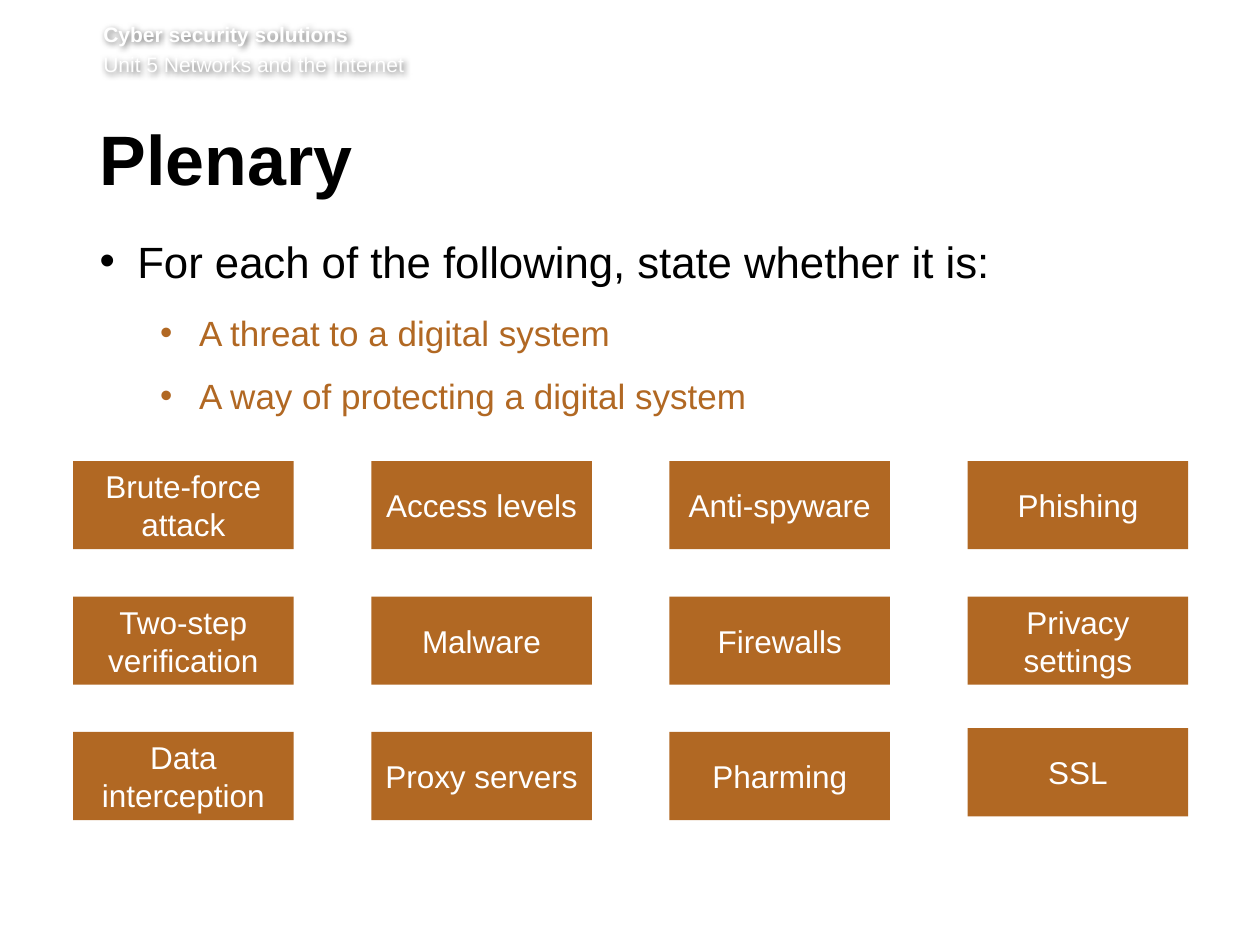
from lxml.etree import SubElement
from pptx import Presentation
from pptx.dml.color import RGBColor
from pptx.enum.shapes import MSO_SHAPE
from pptx.enum.text import MSO_ANCHOR, PP_ALIGN
from pptx.oxml import parse_xml
from pptx.oxml.ns import nsdecls, qn
from pptx.util import Inches, Pt

WHITE = RGBColor(0xFF, 0xFF, 0xFF)
BLACK = RGBColor(0x00, 0x00, 0x00)
BROWN = RGBColor(0xB1, 0x68, 0x23)

prs = Presentation()
prs.slide_width, prs.slide_height = Inches(10), Inches(7.5)
slide = prs.slides.add_slide(prs.slide_layouts[5])


def write(paragraph, text, size, color, bold=False, align=PP_ALIGN.LEFT,
          before=0, after=0, line=None, level=0, indent=None):
    """Fill a paragraph; indent is (left margin, hanging) in inches and adds a bullet."""
    paragraph.text = text
    paragraph.level = level
    paragraph.alignment = align
    paragraph.space_before, paragraph.space_after = Pt(before), Pt(after)
    if line:
        paragraph.line_spacing = Pt(line)
    if indent:
        props = paragraph._p.get_or_add_pPr()
        props.set("marL", str(Inches(indent[0])))
        props.set("indent", str(-Inches(indent[1])))
        SubElement(props, qn("a:buFont")).set("typeface", "Arial")
        SubElement(props, qn("a:buChar")).set("char", "•")
    font = paragraph.runs[0].font
    font.name, font.size, font.bold = "Arial", Pt(size), bold
    font.color.rgb = color


def set_frame(frame, left, top, right, bottom, anchor=MSO_ANCHOR.TOP):
    frame.word_wrap = True
    frame.vertical_anchor = anchor
    frame.margin_left, frame.margin_top = Inches(left), Inches(top)
    frame.margin_right, frame.margin_bottom = Inches(right), Inches(bottom)


# Running header: white text with a soft shadow
header = slide.shapes.add_textbox(Inches(0.82), Inches(0.17), Inches(8.82), Inches(0.49))
set_frame(header.text_frame, 0, 0, 0, 0.05)
write(header.text_frame.paragraphs[0], "Cyber security solutions", 12, WHITE, bold=True)
write(header.text_frame.add_paragraph(), "Unit 5 Networks and the Internet", 12, WHITE,
      before=2.9)
header._element.spPr.append(parse_xml(
    f'<a:effectLst {nsdecls("a")}>'
    '<a:outerShdw blurRad="50800" dist="12700" dir="2700000" algn="tl" rotWithShape="0">'
    '<a:srgbClr val="000000"><a:alpha val="60000"/></a:srgbClr>'
    '</a:outerShdw></a:effectLst>'))

# Title
title = slide.shapes.title
title.left, title.top = Inches(0.79), Inches(0.99)
title.width, title.height = Inches(8.55), Inches(0.73)
set_frame(title.text_frame, 0, 0.05, 0.1, 0.05)
write(title.text_frame.paragraphs[0], "Plenary", 40, BLACK, bold=True, after=15, line=39)

# Question and its two answers
question = slide.shapes.add_textbox(Inches(0.79), Inches(1.86), Inches(8.53), Inches(3.78))
set_frame(question.text_frame, 0, 0, 0.1, 0.05)
write(question.text_frame.paragraphs[0], "For each of the following, state whether it is:",
      25, BLACK, after=14, indent=(0.3, 0.3))
for answer in ("A threat to a digital system", "A way of protecting a digital system"):
    write(question.text_frame.add_paragraph(), answer, 20, BROWN, after=12,
          level=1, indent=(0.79, 0.31))

# Grid of terms to classify
TERMS = (
    ("Brute-force attack", "Access levels", "Anti-spyware", "Phishing"),
    ("Two-step verification", "Malware", "Firewalls", "Privacy settings"),
    ("Data interception", "Proxy servers", "Pharming", "SSL"),
)
GRID_LEFT, GRID_TOP = 0.58, 3.66
COLUMN_PITCH, ROW_PITCH = (7.68 - GRID_LEFT) / 3, (5.81 - GRID_TOP) / 2
RAISED = {"SSL": 0.03}

for row, terms in enumerate(TERMS):
    for column, term in enumerate(terms):
        top = GRID_TOP + row * ROW_PITCH - RAISED.get(term, 0)
        card = slide.shapes.add_shape(
            MSO_SHAPE.RECTANGLE, Inches(GRID_LEFT + column * COLUMN_PITCH), Inches(top),
            Inches(1.75), Inches(0.7))
        card.shadow.inherit = False
        card.fill.solid()
        card.fill.fore_color.rgb = BROWN
        card.line.fill.background()
        set_frame(card.text_frame, 0.1, 0.05, 0.1, 0.05, MSO_ANCHOR.MIDDLE)
        write(card.text_frame.paragraphs[0], term, 18, WHITE, align=PP_ALIGN.CENTER)

prs.save("out.pptx")
